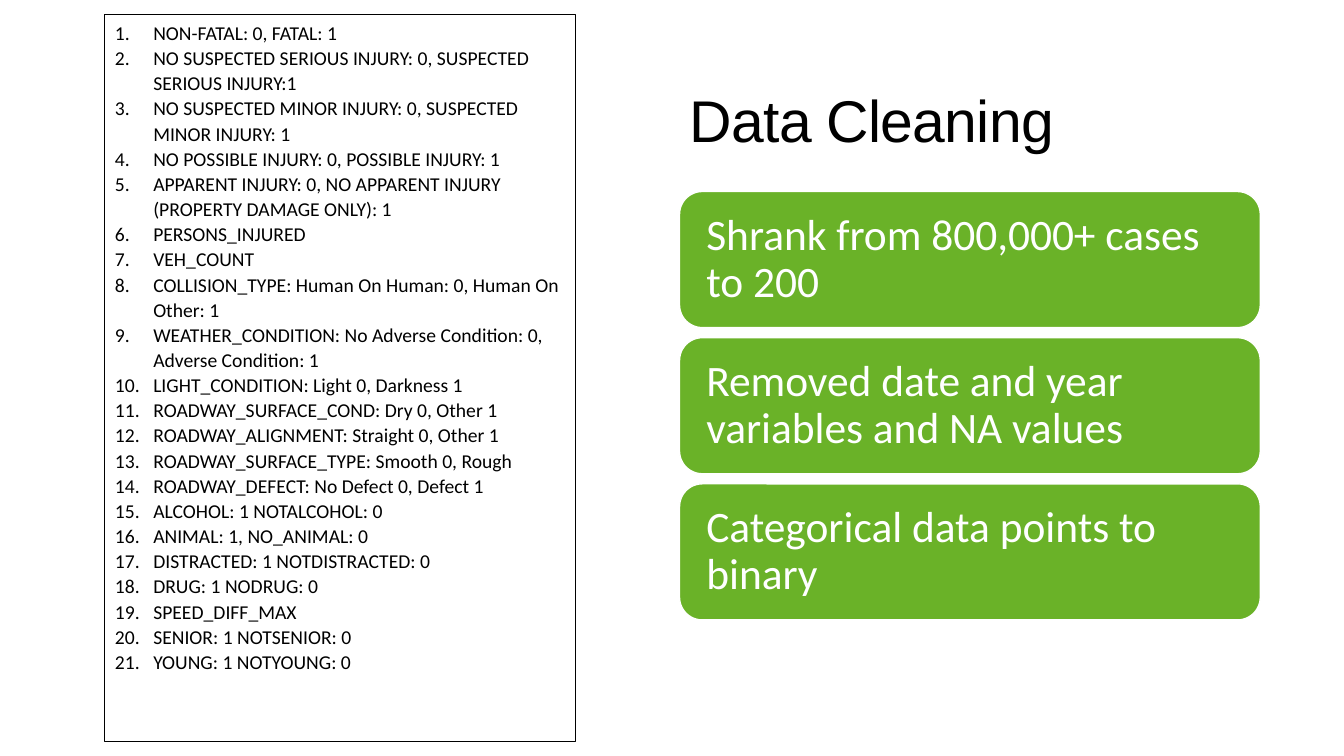
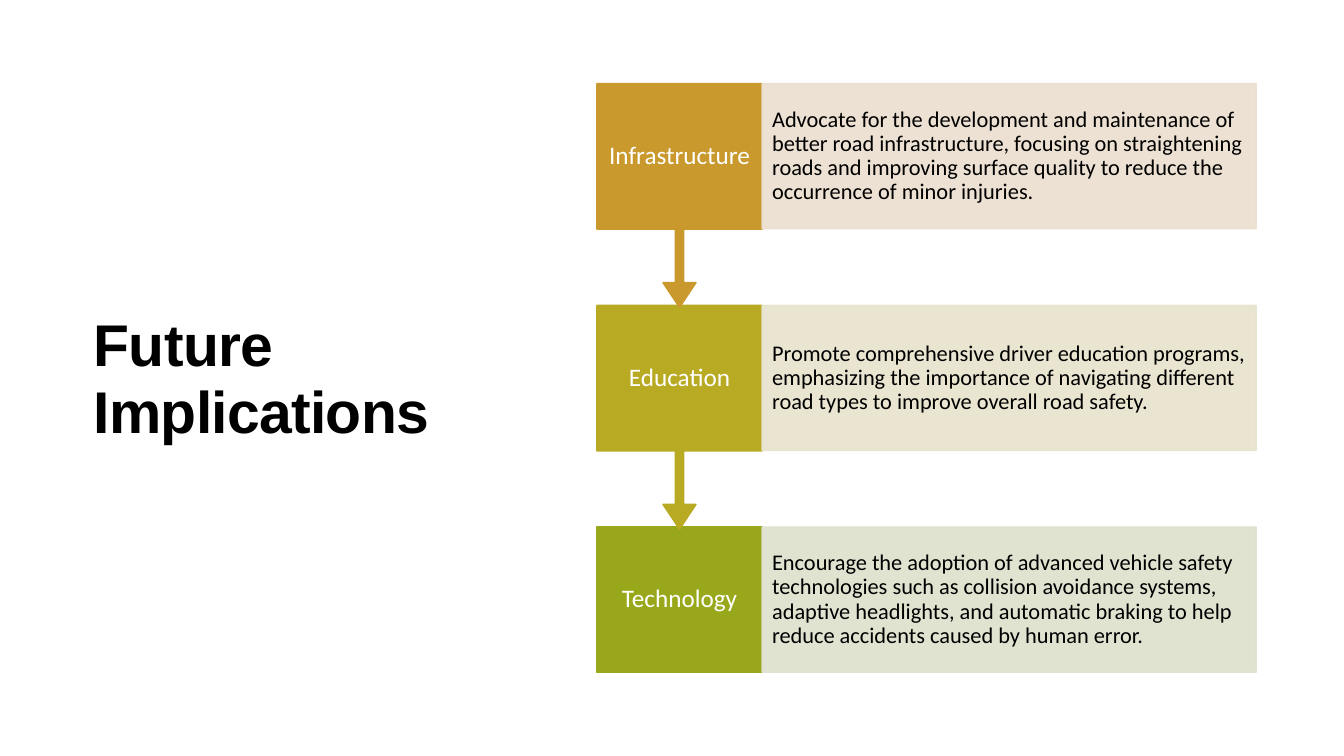
import dataclasses
import typing

import lxml.etree
import pptx
import pptx.dml.color
import pptx.enum.shapes
import pptx.enum.text
import pptx.oxml.ns
import pptx.util

Inches = pptx.util.Inches
Pt = pptx.util.Pt
RGBColor = pptx.dml.color.RGBColor
Shapes = pptx.enum.shapes.MSO_SHAPE
Anchor = pptx.enum.text.MSO_ANCHOR
Align = pptx.enum.text.PP_ALIGN

# Shared colours, fonts and title style
BLACK = RGBColor(0x00, 0x00, 0x00)
WHITE = RGBColor(0xFF, 0xFF, 0xFF)
GREEN = RGBColor(0x6A, 0xB2, 0x28)
OCHRE = RGBColor(0xC9, 0x99, 0x2E)
OLIVE = RGBColor(0xB9, 0xAA, 0x24)
MOSS = RGBColor(0x99, 0xA8, 0x1B)
PALE_OCHRE = RGBColor(0xEB, 0xDE, 0xCE)
PALE_OLIVE = RGBColor(0xE7, 0xE3, 0xCD)
PALE_MOSS = RGBColor(0xDE, 0xE1, 0xCD)
TITLE_FONT = {"name": "Arial", "size": Pt(42)}
BODY_FONT = "Calibri"
TITLE_SPACING = "-50"  # hundredths of a point
PANEL_OPACITY = 90


@dataclasses.dataclass(frozen=True)
class Box:
    left: float
    top: float
    width: float
    height: float


@dataclasses.dataclass(frozen=True)
class TextStyle:
    size: float
    color: RGBColor
    inset_x: float
    inset_y: float
    alignment: Align = Align.LEFT


@dataclasses.dataclass(frozen=True)
class Step:
    name: str
    description: str
    color: RGBColor
    panel_color: RGBColor


CODES = [
    "NON-FATAL: 0, FATAL: 1",
    "NO SUSPECTED SERIOUS INJURY: 0, SUSPECTED SERIOUS INJURY:1",
    "NO SUSPECTED MINOR INJURY: 0, SUSPECTED MINOR INJURY: 1",
    "NO POSSIBLE INJURY: 0, POSSIBLE INJURY: 1",
    "APPARENT INJURY: 0, NO APPARENT INJURY (PROPERTY DAMAGE ONLY): 1",
    "PERSONS_INJURED",
    "VEH_COUNT",
    "COLLISION_TYPE: Human On Human: 0, Human On Other: 1",
    "WEATHER_CONDITION: No Adverse Condition: 0, Adverse Condition: 1",
    "LIGHT_CONDITION: Light 0, Darkness 1",
    "ROADWAY_SURFACE_COND: Dry 0, Other 1",
    "ROADWAY_ALIGNMENT: Straight 0, Other 1",
    "ROADWAY_SURFACE_TYPE: Smooth 0, Rough",
    "ROADWAY_DEFECT: No Defect 0, Defect 1",
    "ALCOHOL: 1 NOTALCOHOL: 0",
    "ANIMAL: 1, NO_ANIMAL: 0",
    "DISTRACTED: 1 NOTDISTRACTED: 0",
    "DRUG: 1 NODRUG: 0",
    "SPEED_DIFF_MAX",
    "SENIOR: 1 NOTSENIOR: 0",
    "YOUNG: 1 NOTYOUNG: 0",
]

CLEANING_STEPS = [
    "Shrank from 800,000+ cases to 200",
    "Removed date and year variables and NA values",
    "Categorical data points to binary",
]

IMPLICATIONS = [
    Step(
        "Infrastructure",
        "Advocate for the development and maintenance of better road infrastructure, "
        "focusing on straightening roads and improving surface quality to reduce the "
        "occurrence of minor injuries.",
        OCHRE,
        PALE_OCHRE,
    ),
    Step(
        "Education",
        "Promote comprehensive driver education programs, emphasizing the importance of "
        "navigating different road types to improve overall road safety.",
        OLIVE,
        PALE_OLIVE,
    ),
    Step(
        "Technology",
        "Encourage the adoption of advanced vehicle safety technologies such as collision "
        "avoidance systems, adaptive headlights, and automatic braking to help reduce "
        "accidents caused by human error.",
        MOSS,
        PALE_MOSS,
    ),
]

CARD_TEXT = TextStyle(31, WHITE, 0.2, 0.2)
STEP_TEXT = TextStyle(18, WHITE, 0.12, 0.14, Align.CENTER)
PANEL_TEXT = TextStyle(16, BLACK, 0.1, 0.1)


def apply_format(target: typing.Any, values: dict[str, typing.Any]) -> None:
    for name, value in values.items():
        setattr(target, name, value)


def place(shape: typing.Any, box: Box) -> None:
    apply_format(shape, {name: Inches(value) for name, value in dataclasses.asdict(box).items()})


def set_title(slide: typing.Any, text: str, box: Box, anchor: Anchor, bold: bool) -> None:
    title = slide.shapes.title
    place(title, box)
    frame = title.text_frame
    frame.text = text
    apply_format(frame, {
        "vertical_anchor": anchor,
        "word_wrap": True,
        "auto_size": pptx.enum.text.MSO_AUTO_SIZE.NONE,
    })
    paragraph = frame.paragraphs[0]
    apply_format(paragraph, {"alignment": Align.LEFT, "line_spacing": 0.95})
    run = paragraph.runs[0]
    apply_format(run.font, {**TITLE_FONT, "bold": bold})
    run.font.color.rgb = BLACK
    run.font._element.set("spc", TITLE_SPACING)


def set_opacity(shape: typing.Any, percent: int) -> None:
    for color in shape._element.spPr.iter(pptx.oxml.ns.qn("a:srgbClr")):
        alpha = lxml.etree.SubElement(color, pptx.oxml.ns.qn("a:alpha"))
        alpha.set("val", str(percent * 1000))


def add_block(
    slide: typing.Any, kind: Shapes, box: Box, text: str,
    fill: RGBColor, line: RGBColor, style: TextStyle,
) -> typing.Any:
    shape = slide.shapes.add_shape(kind, 0, 0, 0, 0)
    place(shape, box)
    shape.shadow.inherit = False
    shape.fill.solid()
    shape.fill.fore_color.rgb = fill
    shape.line.color.rgb = line
    shape.line.width = Pt(1)
    frame = shape.text_frame
    frame.text = text
    apply_format(frame, {
        "word_wrap": True,
        "vertical_anchor": Anchor.MIDDLE,
        "margin_left": Inches(style.inset_x),
        "margin_right": Inches(style.inset_x),
        "margin_top": Inches(style.inset_y),
        "margin_bottom": Inches(style.inset_y),
    })
    paragraph = frame.paragraphs[0]
    apply_format(paragraph, {"alignment": style.alignment, "line_spacing": 0.9})
    apply_format(paragraph.font, {"name": BODY_FONT, "size": Pt(style.size)})
    paragraph.font.color.rgb = style.color
    return shape


def number_paragraph(paragraph: typing.Any, indent: float) -> None:
    properties = paragraph._p.get_or_add_pPr()
    properties.set("marL", str(Inches(indent)))
    properties.set("indent", str(-Inches(indent)))
    numbering = lxml.etree.SubElement(properties, pptx.oxml.ns.qn("a:buAutoNum"))
    numbering.set("type", "arabicPeriod")


def fill_code_list(placeholder: typing.Any, codes: list[str]) -> None:
    place(placeholder, Box(1.04, 0.14, 4.67, 7.22))
    placeholder.line.color.rgb = BLACK
    placeholder.line.width = Pt(0.75)
    frame = placeholder.text_frame
    frame.text = "\n".join(codes)
    apply_format(frame, {
        "word_wrap": True,
        "vertical_anchor": Anchor.TOP,
        "auto_size": pptx.enum.text.MSO_AUTO_SIZE.NONE,
    })
    for paragraph in frame.paragraphs:
        apply_format(paragraph, {
            "line_spacing": 1.07, "space_before": Pt(0), "space_after": Pt(0),
        })
        number_paragraph(paragraph, 0.38)
        run = paragraph.runs[0]
        apply_format(run.font, {"name": BODY_FONT, "size": Pt(14)})
        run.font.color.rgb = BLACK


def build_cleaning_slide(presentation: typing.Any) -> None:
    slide = presentation.slides.add_slide(presentation.slide_layouts[1])
    set_title(slide, "Data Cleaning", Box(6.74, 0.83, 5.76, 1.47), Anchor.TOP, False)
    # Rounded cards
    card_height, gap = 1.35, 0.1
    for index, text in enumerate(CLEANING_STEPS):
        box = Box(6.74, 1.9 + index * (card_height + gap), 5.76, card_height)
        add_block(slide, Shapes.ROUNDED_RECTANGLE, box, text, GREEN, WHITE, CARD_TEXT)
    # Numbered variable list
    fill_code_list(slide.placeholders[1], CODES)


def build_implications_slide(presentation: typing.Any) -> None:
    slide = presentation.slides.add_slide(presentation.slide_layouts[5])
    set_title(slide, "Future Implications", Box(0.83, 0.85, 4.27, 5.84), Anchor.MIDDLE, True)
    # Steps from the bottom up, so that each arrow tip lies over the next step
    left, top, pitch = 5.92, 0.83, 2.2
    step_width, panel_width, row_height, callout_height = 1.64, 4.9, 1.44, 2.22
    last = len(IMPLICATIONS) - 1
    for index, step in reversed(list(enumerate(IMPLICATIONS))):
        row_top = top + index * pitch
        kind = Shapes.RECTANGLE if index == last else Shapes.DOWN_ARROW_CALLOUT
        height = row_height if index == last else callout_height
        block = add_block(
            slide, kind, Box(left, row_top, step_width, height),
            step.name, step.color, step.color, STEP_TEXT,
        )
        if index != last:
            for position, value in enumerate((0.05, 0.1, 0.15, 0.65)):
                block.adjustments[position] = value
        panel = add_block(
            slide, Shapes.RECTANGLE,
            Box(left + step_width, row_top, panel_width, row_height),
            step.description, step.panel_color, step.panel_color, PANEL_TEXT,
        )
        set_opacity(panel, PANEL_OPACITY)


def main() -> None:
    presentation = pptx.Presentation()
    presentation.slide_width = Inches(13.33)
    presentation.slide_height = Inches(7.5)
    build_cleaning_slide(presentation)
    build_implications_slide(presentation)
    presentation.save("out.pptx")


if __name__ == "__main__":
    main()
